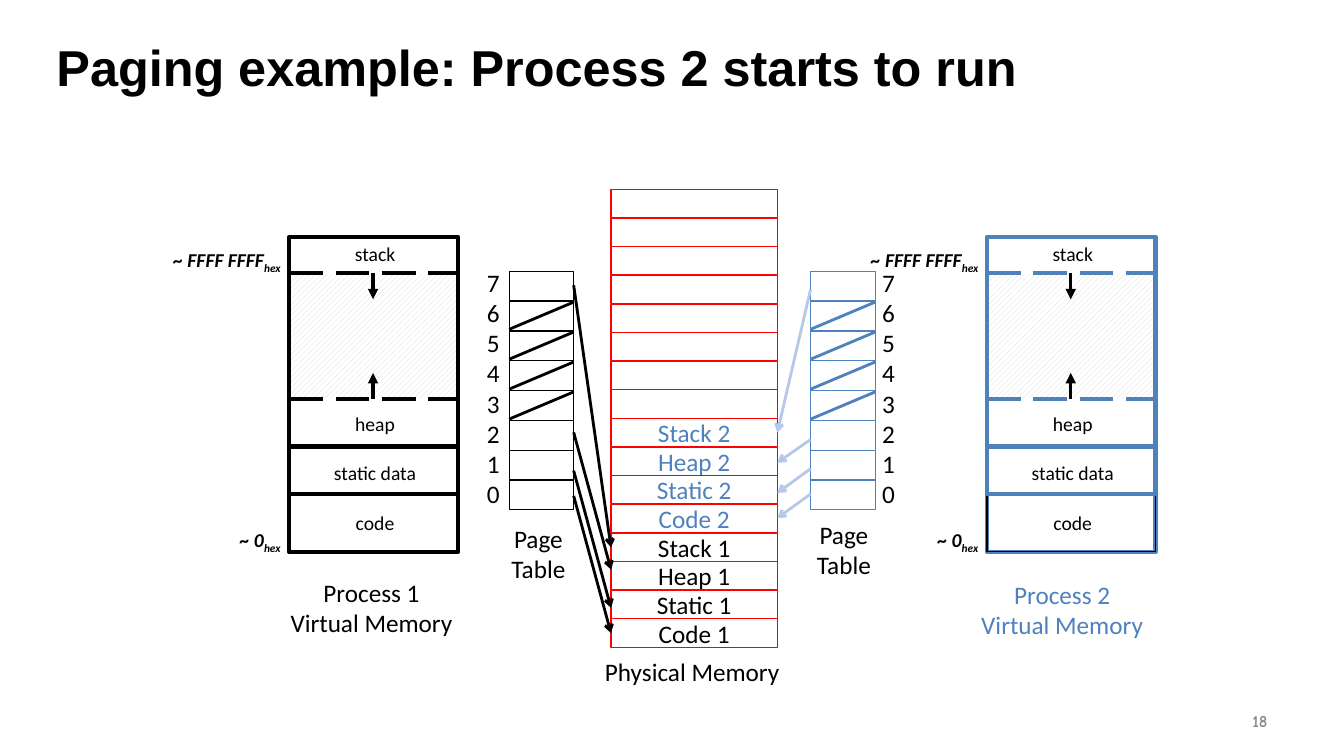
from lxml.etree import SubElement
from pptx import Presentation
from pptx.dml.color import RGBColor
from pptx.enum.dml import MSO_LINE, MSO_PATTERN
from pptx.enum.shapes import MSO_CONNECTOR, MSO_SHAPE
from pptx.enum.text import MSO_ANCHOR, PP_ALIGN as Align
from pptx.oxml.ns import qn
from pptx.util import Inches, Pt

BLACK, BLUE, PALE_BLUE, RED = "000000", "4F81BD", "B6C8E9", "FF0000"
GREY, HATCH, WHITE = "8C8C8C", "D6D7D6", "FFFFFF"


def color(hex_code):
    return RGBColor.from_string(hex_code)


class Diagram:
    """The current slide and the style shared by its elements."""

    font_name = "Calibri"

    def __init__(self, slide):
        self.slide = slide

    def format_text(self, text_frame, size, ink, align, font_name=None, bold=False, italic=False):
        for paragraph in text_frame.paragraphs:
            paragraph.alignment = align
            for run in paragraph.runs:
                font = run.font
                font.name, font.size = font_name or self.font_name, Pt(size)
                font.bold, font.italic = bold, italic
                font.color.rgb = color(ink)

    def title(self, text, left, top, width, height):
        title = self.slide.shapes.title
        title.left, title.top = Inches(left), Inches(top)
        title.width, title.height = Inches(width), Inches(height)
        title.text_frame.text = text
        title.text_frame.vertical_anchor = MSO_ANCHOR.MIDDLE
        self.format_text(title.text_frame, 36, BLACK, Align.LEFT, "Arial", bold=True)

    def label(self, text, left, top, width, height, size=18, ink=BLACK, align=Align.CENTER,
              wrap=False, subscript="", **style):
        box = self.slide.shapes.add_textbox(Inches(left), Inches(top), Inches(width), Inches(height))
        text_frame = box.text_frame
        text_frame.text = text
        text_frame.word_wrap = wrap
        if subscript:
            run = text_frame.paragraphs[0].add_run()
            run.text = subscript
            run.font._element.set("baseline", "-25000")
        self.format_text(text_frame, size, ink, align, **style)
        return text_frame

    def box(self, left, top, width, height, line, weight, text="", ink=BLACK, hatched=False):
        shape = self.slide.shapes.add_shape(
            MSO_SHAPE.RECTANGLE, Inches(left), Inches(top), Inches(width), Inches(height))
        shape.shadow.inherit = False
        if hatched:
            shape.fill.patterned()
            shape.fill.pattern = MSO_PATTERN.WIDE_UPWARD_DIAGONAL
            shape.fill.fore_color.rgb = color(HATCH)
            shape.fill.back_color.rgb = color(WHITE)
        else:
            shape.fill.background()
        shape.line.color.rgb = color(line)
        shape.line.width = Pt(weight)
        if text:
            shape.text_frame.text = text
            shape.text_frame.vertical_anchor = MSO_ANCHOR.MIDDLE
            self.format_text(shape.text_frame, 18, ink, Align.CENTER)

    def line(self, start, end, ink, weight=2, dashed=False, arrowhead=None):
        connector = self.slide.shapes.add_connector(
            MSO_CONNECTOR.STRAIGHT, *(Inches(value) for value in (*start, *end)))
        connector.line.color.rgb = color(ink)
        connector.line.width = Pt(weight)
        if dashed:
            connector.line.dash_style = MSO_LINE.LONG_DASH
        properties = connector._element.spPr
        if arrowhead:
            SubElement(properties.find(qn("a:ln")), qn("a:tailEnd"), type=arrowhead)
        SubElement(properties, qn("a:effectLst"))

    def virtual_memory(self, left, ink):
        width, middle = 1.67, left + 0.83
        self.box(left, 2.71, width, 1.25, WHITE, 1, hatched=True)
        self.box(left, 2.35, width, 3.13, ink, 3)
        self.box(left, 4.9, width, 0.57, BLACK, 1)
        self.box(left, 4.43, width, 0.47, ink, 3)
        for edge in (3.96, 2.71):
            self.line((left, edge), (left + width, edge), ink, 3, dashed=True)
        for text, top in (("code", 5.02), ("static data", 4.52), ("heap", 4.04), ("stack", 2.35)):
            self.label(text, left + 0.2, top, 1.3, 0.34, size=14, wrap=True)
        for start, end in ((3.96, 3.7), (2.71, 2.97)):
            self.line((middle, start), (middle, end), BLACK, 2.5, arrowhead="triangle")
        for text, offset, top, box_width in (("~ FFFF FFFF", -1.25, 2.41, 1.35),
                                             ("~ 0", -0.59, 5.19, 0.98)):
            self.label(text, left + offset, top, box_width, 0.34, size=14, align=Align.LEFT,
                       wrap=True, subscript="hex", bold=True, italic=True)

    def page_table(self, left, numbers_left, ink):
        row_tops = [2.69 + 0.297 * row for row in range(8)]
        for top in row_tops:
            self.box(left, top, 0.64, 0.29, ink, 0.75)
        numbers = "\n".join(str(page) for page in reversed(range(8)))
        self.label(numbers, numbers_left, 2.6, 0.33, 2.52, align=Align.LEFT)
        # Unmapped pages 6 to 3 are struck out
        for top in row_tops[1:5]:
            self.line((left, top + 0.28), (left + 0.64, top + 0.01), ink)

    def physical_memory(self, left, top, frames):
        for row, (text, ink) in enumerate(frames):
            self.box(left, top + 0.284 * row, 1.65, 0.28, RED, 0.75, text, ink)


def main():
    presentation = Presentation()
    presentation.slide_width, presentation.slide_height = Inches(13.33), Inches(7.5)
    slide = presentation.slides.add_slide(presentation.slide_layouts[5])
    diagram = Diagram(slide)

    # Title and slide number
    diagram.title("Paging example: Process 2 starts to run", 0.46, 0.3, 12.4, 0.71)
    number = diagram.label("18", 9.56, 6.95, 3.11, 0.4, size=12, ink=GREY, align=Align.RIGHT,
                           wrap=True, font_name="Comic Neue", bold=True)
    number.vertical_anchor = MSO_ANCHOR.MIDDLE

    # Virtual memory of both processes
    diagram.virtual_memory(2.87, BLACK)
    diagram.label("Process 1\nVirtual Memory", 2.77, 5.68, 1.83, 0.71)
    diagram.virtual_memory(9.79, BLUE)
    diagram.label("Process 2\nVirtual Memory", 9.62, 5.7, 1.83, 0.71, ink=BLUE)

    # Page tables
    diagram.page_table(5.05, 4.73, BLACK)
    diagram.label("Page\vTable", 4.97, 5.14, 0.74, 0.71)
    diagram.page_table(8.04, 8.65, BLUE)
    diagram.label("Page\vTable", 8, 5.1, 0.74, 0.71)

    # Physical memory, free frames first
    used_frames = [(f"{segment} {process}", ink)
                   for process, ink in ((2, BLUE), (1, BLACK))
                   for segment in ("Stack", "Heap", "Static", "Code")]
    diagram.physical_memory(6.06, 1.88, [("", BLACK)] * 8 + used_frames)
    diagram.label("Physical Memory", 5.89, 6.46, 1.95, 0.4)

    # Mappings from page to frame: code, static data, heap, stack
    mappings = (
        (BLACK, 5.69, 6.06, ((4.92, 6.28), (4.67, 6.03), (4.29, 5.65), (2.83, 5.43))),
        (PALE_BLUE, 8.04, 7.71, ((4.9, 5.14), (4.65, 4.89), (4.36, 4.59), (2.87, 4.29))),
    )
    for ink, page_x, frame_x, heights in mappings:
        for page_y, frame_y in heights:
            diagram.line((page_x, page_y), (frame_x, frame_y), ink, arrowhead="arrow")

    presentation.save("out.pptx")


if __name__ == "__main__":
    main()
